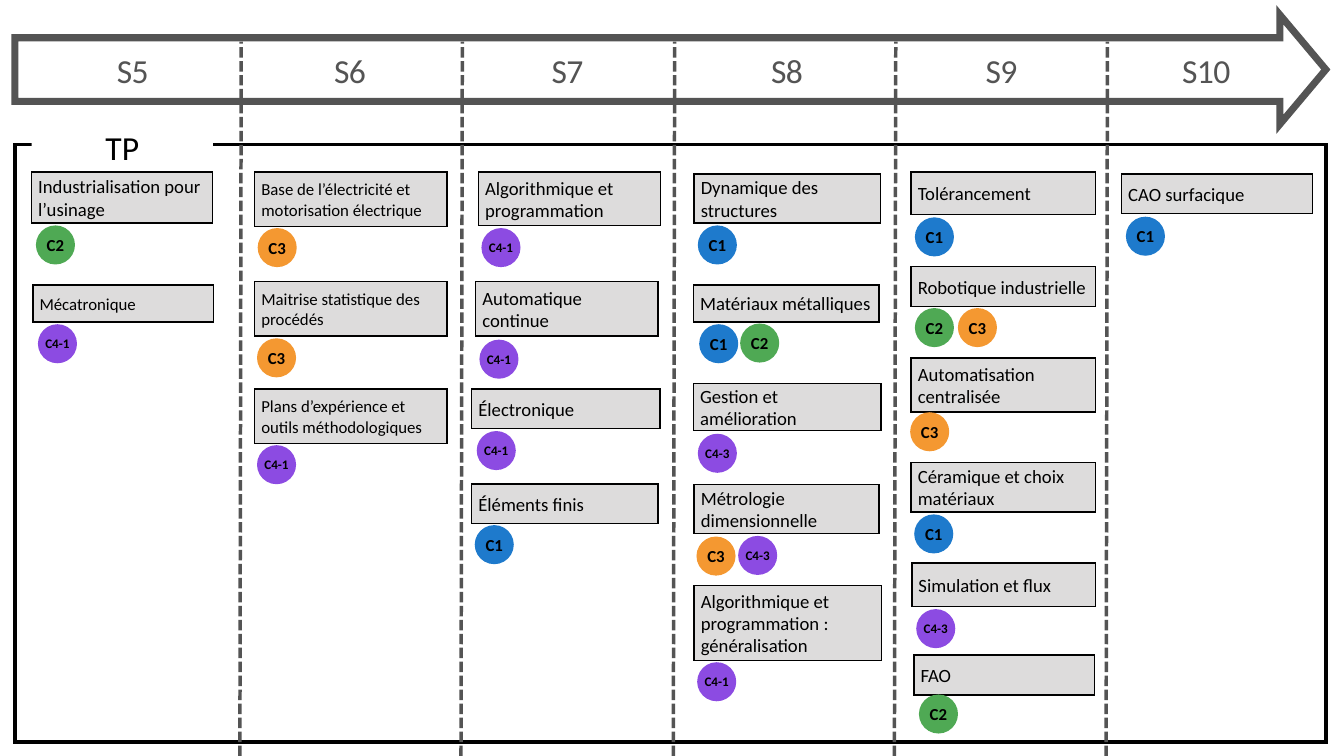
import pptx
import pptx.dml.color
import pptx.enum.dml
import pptx.enum.shapes
import pptx.enum.text
import pptx.oxml
import pptx.oxml.ns
import pptx.util

Inches = pptx.util.Inches
Pt = pptx.util.Pt
RGBColor = pptx.dml.color.RGBColor
Shape = pptx.enum.shapes.MSO_SHAPE
Align = pptx.enum.text.PP_ALIGN
Anchor = pptx.enum.text.MSO_ANCHOR

BLACK = RGBColor(0x00, 0x00, 0x00)
WHITE = RGBColor(0xFF, 0xFF, 0xFF)
SLATE = RGBColor(0x54, 0x54, 0x54)
GREY = RGBColor(0xDD, 0xDC, 0xDC)
BLUE = RGBColor(0x1E, 0x7A, 0xCC)
GREEN = RGBColor(0x4F, 0xA9, 0x54)
ORANGE = RGBColor(0xF4, 0x98, 0x31)
PURPLE = RGBColor(0x8C, 0x4B, 0xE2)

SKILL_COLORS = {"C1": BLUE, "C2": GREEN, "C3": ORANGE, "C4-1": PURPLE, "C4-3": PURPLE}
BADGE_SIZE = 0.55

# Semester, left, width
SEMESTERS = [
    ("S5", 0.39, 3.17), ("S6", 3.56, 3.3), ("S7", 6.86, 3.17),
    ("S8", 10.1, 3.22), ("S9", 13.33, 3.15), ("S10", 16.47, 2.96),
]
DIVIDERS = [3.57, 6.86, 10.02, 13.31, 16.46]

# Title, (left, top, width, height), text size, badges as (skill, left, top)
COURSES = [
    # S5
    ("Industrialisation pour l’usinage", (0.47, 2.56, 2.69, 0.76), 20, [("C2", 0.55, 3.37)]),
    ("Mécatronique", (0.49, 4.24, 2.69, 0.55), 18, [("C4-1", 0.58, 4.84)]),
    # S6
    ("Base de l’électricité et motorisation électrique", (3.79, 2.56, 2.86, 0.81), 18,
     [("C3", 3.85, 3.41)]),
    ("Maitrise statistique des procédés", (3.79, 4.19, 2.86, 0.81), 18, [("C3", 3.84, 5.05)]),
    ("Plans d’expérience et outils méthodologiques", (3.79, 5.79, 2.86, 0.81), 18,
     [("C4-1", 3.84, 6.64)]),
    # S7
    ("Algorithmique et programmation", (7.12, 2.56, 2.71, 0.8), 20, [("C4-1", 7.18, 3.41)]),
    ("Automatique continue", (7.08, 4.19, 2.71, 0.81), 20, [("C4-1", 7.15, 5.07)]),
    ("Électronique", (7.02, 5.79, 2.8, 0.59), 20, [("C4-1", 7.11, 6.43)]),
    ("Éléments finis", (7.02, 7.2, 2.77, 0.59), 20, [("C1", 7.08, 7.83)]),
    # S8
    ("Dynamique des structures", (10.33, 2.59, 2.77, 0.73), 20, [("C1", 10.4, 3.37)]),
    ("Matériaux métalliques", (10.32, 4.24, 2.76, 0.55), 20,
     [("C1", 10.42, 4.84), ("C2", 11.03, 4.83)]),
    ("Gestion et amélioration", (10.32, 5.71, 2.79, 0.7), 20, [("C4-3", 10.4, 6.47)]),
    ("Métrologie dimensionnelle", (10.33, 7.21, 2.75, 0.73), 20,
     [("C3", 10.38, 8), ("C4-3", 11, 7.99)]),
    ("Algorithmique et programmation : généralisation", (10.33, 8.71, 2.79, 1.12), 20,
     [("C4-1", 10.39, 9.87)]),
    # S9
    ("Tolérancement", (13.56, 2.56, 2.74, 0.63), 20, [("C1", 13.63, 3.25)]),
    ("Robotique industrielle", (13.56, 3.97, 2.74, 0.59), 20,
     [("C2", 13.63, 4.6), ("C3", 14.27, 4.6)]),
    ("Automatisation centralisée", (13.56, 5.33, 2.74, 0.8), 20, [("C3", 13.56, 6.15)]),
    ("Céramique et choix matériaux", (13.56, 6.88, 2.74, 0.74), 20, [("C1", 13.62, 7.67)]),
    ("Simulation et flux", (13.57, 8.38, 2.73, 0.65), 20, [("C4-3", 13.65, 9.08)]),
    ("FAO", (13.6, 9.75, 2.69, 0.59), 20, [("C2", 13.69, 10.35)]),
    # S10
    ("CAO surfacique", (16.69, 2.59, 2.84, 0.59), 20, [("C1", 16.77, 3.24)]),
]


def write_text(frame, text, *, size, color=BLACK, bold=False, align=Align.LEFT,
               anchor=Anchor.MIDDLE, margin=None, line_height=None, spacing=None):
    """Fill a text frame with one paragraph; spacing is in hundredths of a point."""
    frame.word_wrap = True
    frame.vertical_anchor = anchor
    if margin is not None:
        frame.margin_left = frame.margin_right = Inches(margin)
        frame.margin_top = frame.margin_bottom = Inches(margin)
    para = frame.paragraphs[0]
    para.alignment = align
    if line_height:
        para.line_spacing = Pt(line_height)
    span = para.add_run()
    span.text = text
    span.font.name = Style.font
    span.font.size = Pt(size)
    span.font.bold = bold
    span.font.color.rgb = color
    if spacing:
        span._r.get_or_add_rPr().set("spc", str(spacing))


class Style:
    font = "Calibri"

    def __init__(self, slide):
        self.slide = slide

    def shape(self, kind, area, fill=None, line=None, weight=1.5):
        shape = self.slide.shapes.add_shape(kind, *map(Inches, area))
        shape.shadow.inherit = False
        if fill is None:
            shape.fill.background()
        else:
            shape.fill.solid()
            shape.fill.fore_color.rgb = fill
        if line is None:
            shape.line.fill.background()
        else:
            shape.line.color.rgb = line
            shape.line.width = Pt(weight)
            outline = shape.line._get_or_add_ln()
            miter = pptx.oxml.parse_xml(
                f'<a:miter {pptx.oxml.ns.nsdecls("a")} lim="800000"/>')
            outline.append(miter)
        return shape

    def timeline_arrow(self, area):
        arrow = self.shape(Shape.RIGHT_ARROW, area, line=SLATE, weight=7.5)
        arrow.adjustments[0] = 0.58
        arrow.adjustments[1] = 0.42

    def divider(self, left):
        line = self.slide.shapes.add_connector(
            pptx.enum.shapes.MSO_CONNECTOR.STRAIGHT,
            Inches(left), Inches(11.25), Inches(left + 0.02), Inches(0.62))
        line.line.color.rgb = SLATE
        line.line.width = Pt(3.75)
        line.line.dash_style = pptx.enum.dml.MSO_LINE.SQUARE_DOT
        effects = pptx.oxml.parse_xml(f'<a:effectLst {pptx.oxml.ns.nsdecls("a")}/>')
        line._element.spPr.append(effects)

    def semester(self, name, left, width):
        box = self.slide.shapes.add_textbox(
            Inches(left), Inches(0.7), Inches(width), Inches(0.63))
        write_text(box.text_frame, name, size=36, color=SLATE, align=Align.CENTER,
                   anchor=Anchor.TOP, margin=0, line_height=46.8, spacing=-70)
        box.text_frame.auto_size = pptx.enum.text.MSO_AUTO_SIZE.SHAPE_TO_FIT_TEXT

    def frame_title(self, text, area):
        box = self.shape(Shape.RECTANGLE, area, fill=WHITE)
        write_text(box.text_frame, text, size=36, align=Align.CENTER)

    def course(self, title, area, size):
        box = self.shape(Shape.RECTANGLE, area, fill=GREY, line=BLACK)
        write_text(box.text_frame, title, size=size)

    def badge(self, skill, left, top):
        color = SKILL_COLORS[skill]
        circle = self.shape(Shape.OVAL, (left, top, BADGE_SIZE, BADGE_SIZE),
                            fill=color, line=color, weight=2.25)
        write_text(circle.text_frame, skill, size=14 if len(skill) > 2 else 18,
                   bold=True, align=Align.CENTER, margin=0)


def main():
    deck = pptx.Presentation()
    deck.slide_width = Inches(20)
    deck.slide_height = Inches(11.25)
    style = Style(deck.slides.add_slide(deck.slide_layouts[6]))

    style.timeline_arrow((0.22, 0.22, 19.51, 1.63))
    style.shape(Shape.RECTANGLE, (0.22, 2.15, 19.51, 8.89), line=BLACK, weight=3.75)
    for left in DIVIDERS:
        style.divider(left)
    for name, left, width in SEMESTERS:
        style.semester(name, left, width)
    style.frame_title("TP", (0.47, 1.88, 2.7, 0.61))
    for title, area, size, badges in COURSES:
        style.course(title, area, size)
        for skill, left, top in badges:
            style.badge(skill, left, top)

    deck.save("out.pptx")


if __name__ == "__main__":
    main()
